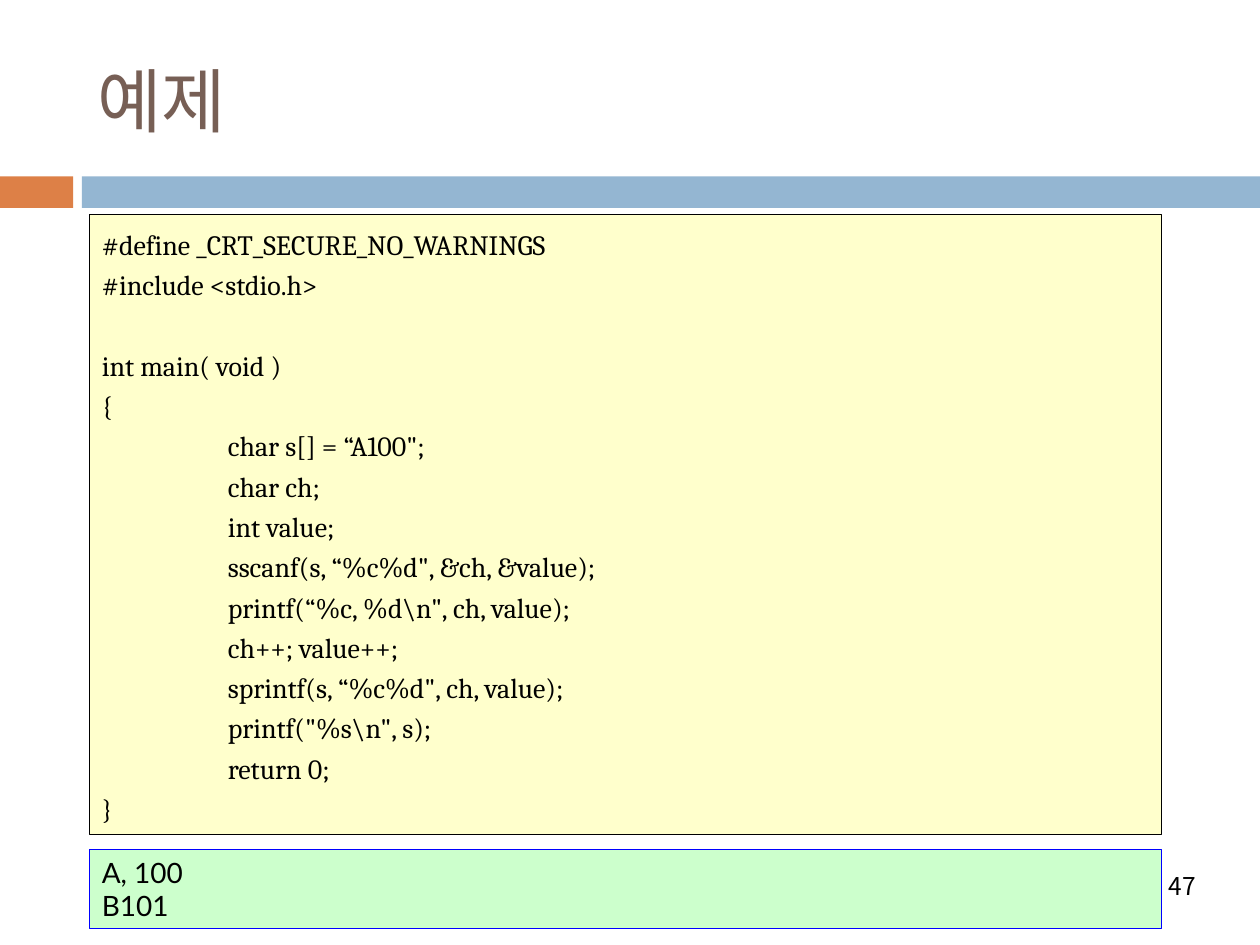
from lxml import etree
from pptx import Presentation
from pptx.dml.color import RGBColor
from pptx.enum.shapes import MSO_SHAPE
from pptx.enum.text import MSO_ANCHOR, PP_ALIGN
from pptx.oxml.ns import qn
from pptx.util import Inches, Pt

RECT = MSO_SHAPE.RECTANGLE
TOP, MIDDLE = MSO_ANCHOR.TOP, MSO_ANCHOR.MIDDLE
LEFT, RIGHT, JUSTIFY = PP_ALIGN.LEFT, PP_ALIGN.RIGHT, PP_ALIGN.JUSTIFY
COLORS = {"orange": "DD8047", "blue": "94B6D2", "brown": "775F55",
          "cream": "FFFFCC", "mint": "CCFFCC", "black": "000000", "outline": "0000FF"}
KOREAN = "Noto Sans CJK KR"


def add_rect(box, fill, line=None, width=0):
    sp = s.shapes.add_shape(RECT, *[Inches(v) for v in box])
    sp.shadow.inherit = False
    sp.fill.solid()
    sp.fill.fore_color.rgb = RGBColor.from_string(COLORS[fill])
    if line:
        sp.line.color.rgb = RGBColor.from_string(COLORS[line])
        sp.line.width = Pt(width)
    else:
        sp.line.fill.background()
    return sp


def write(sp, lines, font, size, color="black", anchor=TOP, **paragraph_format):
    tf = sp.text_frame
    frame_format = {"word_wrap": True, "vertical_anchor": anchor,
                    "margin_left": Inches(0.1), "margin_right": Inches(0.1),
                    "margin_top": Inches(0.05), "margin_bottom": Inches(0.05)}
    for name, value in frame_format.items():
        setattr(tf, name, value)
    for i, line in enumerate(lines):
        p = tf.paragraphs[0] if i == 0 else tf.add_paragraph()
        for name, value in paragraph_format.items():
            setattr(p, name, value)
        r = p.add_run()
        r.text = line
        for name, value in {"name": font, "size": Pt(size), "bold": False}.items():
            setattr(r.font, name, value)
        r.font.color.rgb = RGBColor.from_string(COLORS[color])
        etree.SubElement(r.font._element, qn("a:ea")).set("typeface", font)


prs = Presentation()
prs.slide_width, prs.slide_height = Inches(10), Inches(7.5)
s = prs.slides.add_slide(prs.slide_layouts[5])

add_rect((0, 1.4, 0.58, 0.25), "orange")
add_rect((0.65, 1.4, 9.35, 0.25), "blue")

title = s.shapes.title
title_box = {"left": 0.67, "top": 0.25, "width": 8.92, "height": 1.08}
for name, value in title_box.items():
    setattr(title, name, Inches(value))
write(title, ["예제"], KOREAN, 40, "brown", MIDDLE, alignment=LEFT)

header = ["#define _CRT_SECURE_NO_WARNINGS", "#include <stdio.h>"]
opening = ["int main( void )", "{"]
body = [
    "char s[] = “A100\";",
    "char ch;",
    "int value;",
    "sscanf(s, “%c%d\", &ch, &value);",
    "printf(“%c, %d\\n\", ch, value);",
    "ch++; value++;",
    "sprintf(s, “%c%d\", ch, value);",
    "printf(\"%s\\n\", s);",
    "return 0;",
]
code = add_rect((0.71, 1.7, 8.51, 4.92), "cream", "black", 0.25)
write(code, header + opening + body + ["}"], "Cambria", 16, alignment=LEFT, line_spacing=1.2)
paragraphs = code.text_frame.paragraphs
paragraphs[len(header)].space_before = Pt(23.3)
body_start = len(header + opening)
for p in paragraphs[body_start:body_start + len(body)]:
    pPr = p._p.get_or_add_pPr()
    pPr.set("marL", str(Inches(1)))
    pPr.set("indent", "0")

output = add_rect((0.71, 6.74, 8.51, 0.63), "mint", "outline", 0.33)
write(output, ["A, 100", "B101"], "Lato", 16, alignment=JUSTIFY)

number = s.shapes.add_textbox(Inches(6.81), Inches(6.83), Inches(2.78), Inches(0.4))
write(number, ["47"], KOREAN, 14, anchor=MIDDLE, alignment=RIGHT)

prs.save("out.pptx")
